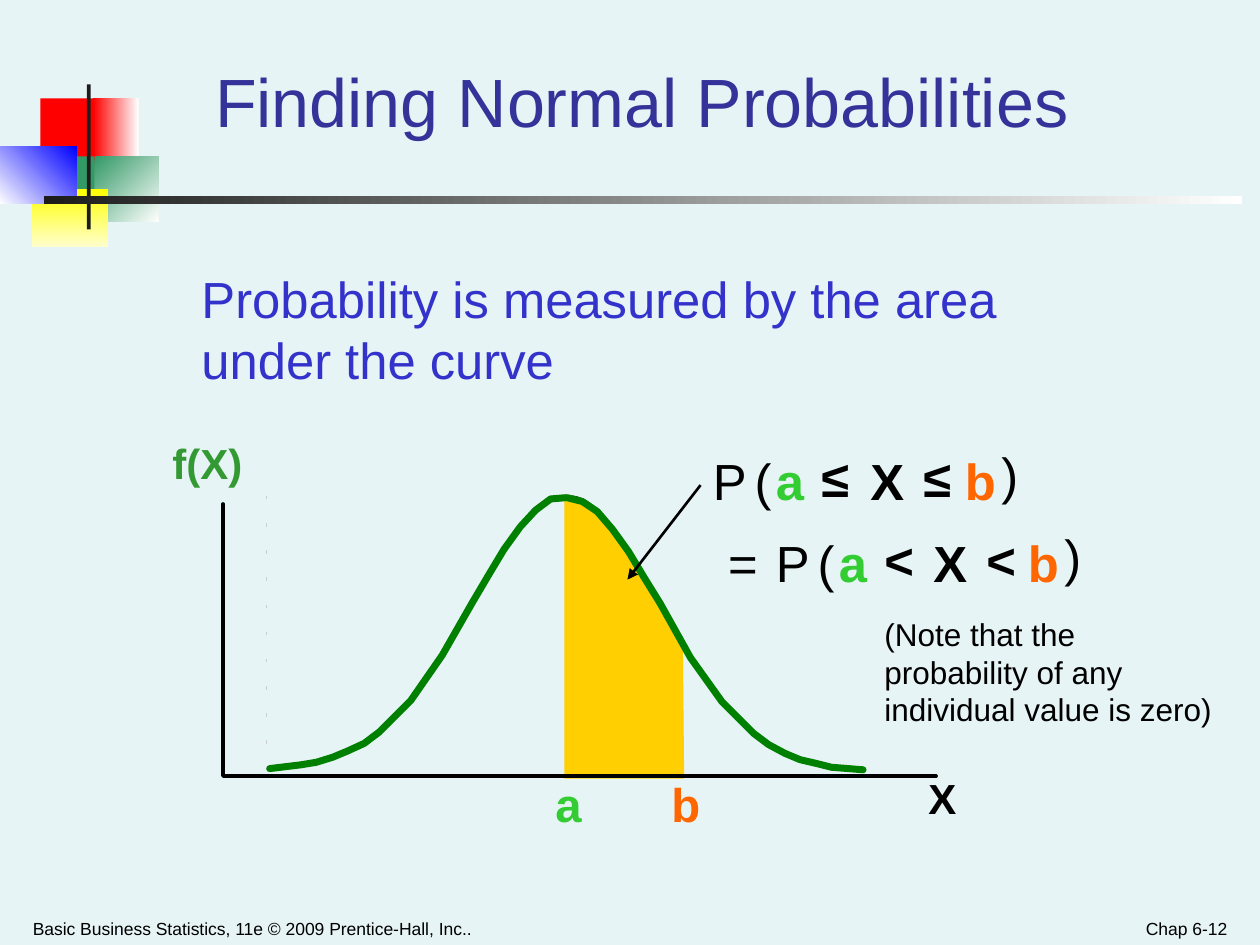
from lxml import etree
from pptx import Presentation
from pptx import util as u
from pptx.dml.color import RGBColor
from pptx.enum import shapes, text
from pptx.oxml.ns import qn

INK = "000000"
GREEN_A = "33CC33"
ORANGE_B = "FF6600"
CURVE_GREEN = "008000"


def color(hex_code):
    return RGBColor.from_string(hex_code)


def add_text(slide, box, wording, size, hex_code, bold=False, wrap=False,
             align=text.PP_ALIGN.LEFT, anchor=text.MSO_ANCHOR.TOP):
    """Text box; a label that does not wrap grows to fit its wording."""
    label = slide.shapes.add_textbox(*(u.Inches(v) for v in box))
    frame = label.text_frame
    frame.word_wrap = wrap
    if not wrap:
        frame.auto_size = text.MSO_AUTO_SIZE.SHAPE_TO_FIT_TEXT
    frame.vertical_anchor = anchor
    frame.text = wording
    paragraph = frame.paragraphs[0]
    paragraph.alignment = align
    font = paragraph.runs[0].font
    font.name, font.size, font.bold = "Arial", u.Pt(size), bold
    font.color.rgb = color(hex_code)
    return label


def add_block(slide, box, start, end=None, angle=0):
    """Borderless rectangle, plain or with a gradient turned clockwise by angle."""
    block = slide.shapes.add_shape(shapes.MSO_SHAPE.RECTANGLE,
                                   *(u.Inches(v) for v in box))
    block.shadow.inherit = False
    block.line.fill.background()
    if end is None:
        block.fill.solid()
        block.fill.fore_color.rgb = color(start)
        return
    block.fill.gradient()
    block.fill.gradient_angle = (360 - angle) % 360
    for stop, hex_code in zip(block.fill.gradient_stops, (start, end)):
        stop.color.rgb = color(hex_code)


def add_outline(slide, origin, points, fill=None, line=None, width=1):
    """Freeform through points measured from origin; closed when filled."""
    left, top = origin
    spots = [(u.Inches(left + x), u.Inches(top + y)) for x, y in points]
    builder = slide.shapes.build_freeform(*spots[0])
    builder.add_line_segments(spots[1:], close=fill is not None)
    outline = builder.convert_to_shape()
    outline.shadow.inherit = False
    if fill:
        outline.fill.solid()
        outline.fill.fore_color.rgb = color(fill)
        outline.line.fill.background()
    else:
        outline.fill.background()
        outline.line.color.rgb = color(line)
        outline.line.width = u.Pt(width)
        outline._element.spPr.find(qn("a:ln")).set("cap", "rnd")


def add_line(slide, start, end, hex_code, width, arrow=False):
    line = slide.shapes.add_connector(shapes.MSO_CONNECTOR.STRAIGHT,
                                      *(u.Inches(v) for v in (*start, *end)))
    line.line.color.rgb = color(hex_code)
    line.line.width = u.Pt(width)
    properties = line._element.spPr
    if arrow:
        etree.SubElement(properties.find(qn("a:ln")), qn("a:tailEnd"), type="triangle")
    etree.SubElement(properties, qn("a:effectLst"))


def add_ornament(slide, left, top):
    blocks = [
        ((0.32, 0.11, 0.48, 0.52), "FF0000"),
        ((0.74, 0.11, 0.36, 0.52), "FF0000", "FFFFFF"),
        ((0.75, 0.57, 0.51, 0.52), "339966", "FFFFFF", 45),
        ((0.43, 0.57, 0.32, 0.52), "339966"),
        ((0.25, 0.83, 0.61, 0.46), "FFFF00", "FFFFCC", 90),
        ((0, 0.49, 0.61, 0.46), "FFFFFF", "0000FF", 315),
        ((0.69, 0, 0.03, 1.15), "1C1C1C"),
        ((0.35, 0.89, 9.51, 0.06), "1C1C1C", "FFFFFF"),
    ]
    for (x, y, width, height), *paint in blocks:
        add_block(slide, (left + x, top + y, width, height), *paint)


def add_footer(slide, left, top, width, height):
    parts = [
        (left, 5.08, "Basic Business Statistics, 11e © 2009 Prentice-Hall, Inc..",
         text.PP_ALIGN.LEFT),
        (left + width - 2.33, 2.33, "Chap 6-12", text.PP_ALIGN.RIGHT),
    ]
    for x, part_width, wording, align in parts:
        note = add_text(slide, (x, top, part_width, height), wording, 10, INK,
                        wrap=True, align=align, anchor=text.MSO_ANCHOR.BOTTOM)
        note.text_frame.margin_left = note.text_frame.margin_right = u.Inches(0.09)


def add_title(slide, box):
    title = add_text(slide, box, "Finding Normal Probabilities", 39, "333399", wrap=True,
                     align=text.PP_ALIGN.CENTER, anchor=text.MSO_ANCHOR.MIDDLE)
    title.text_frame.margin_right = u.Inches(0.41)
    title.text_frame.paragraphs[0].line_spacing = 0.95


def add_normal_curve(slide, left, top):
    """Bell curve with the area from a to b; left, top is the top of the f(X) axis."""
    origin = (left, top)
    area = [(2.86, -0.01), (2.97, 0.05), (3.13, 0.25), (3.26, 0.45), (3.42, 0.72),
            (3.55, 0.96), (3.65, 1.13), (3.66, 2.18), (2.71, 2.18), (2.71, -0.05)]
    add_outline(slide, origin, area, fill="FFCF01")

    for x, y, width, height, wording, size, hex_code in [
        (2.54, 2.1, 0.41, 0.55, "a", 27, GREEN_A),
        (3.46, 2.1, 0.43, 0.55, "b", 27, ORANGE_B),
        (5.5, 2.08, 0.42, 0.5, "X", 24, INK),
        (-0.5, -0.58, 0.77, 0.5, "f(X)", 24, "339933"),
    ]:
        add_text(slide, (left + x, top + y, width, height), wording, size, hex_code, bold=True)

    crest = [(2.73, -0.05), (2.78, -0.06), (2.82, -0.05), (2.87, -0.03),
             (2.9, -0.01), (2.94, 0.02), (2.96, 0.06), (3.08, 0.17)]
    add_outline(slide, origin, crest, line=INK)

    # Distances from the peak, shared by both halves, and the drop on each side
    reach = [0, 0.12, 0.24, 0.36, 0.49, 0.61, 0.74, 0.98,
             1.23, 1.48, 1.6, 1.73, 1.85, 1.98, 2.1, 2.35]
    right_drop = [0, 0.03, 0.11, 0.25, 0.43, 0.63, 0.84, 1.27,
                  1.62, 1.87, 1.96, 2.03, 2.08, 2.11, 2.14, 2.16]
    left_drop = [0, 0.01, 0.1, 0.23, 0.41, 0.61, 0.83, 1.25,
                 1.61, 1.86, 1.95, 2.01, 2.06, 2.1, 2.12, 2.15]
    for peak, side, drops in [(2.73, 1, right_drop), (2.72, -1, left_drop)]:
        half = [(peak + side * x, y - 0.05) for x, y in zip(reach, drops)]
        add_outline(slide, origin, half, line=CURVE_GREEN, width=4)

    add_outline(slide, origin, [(0, 0), (0, 2.16), (5.66, 2.16)], line=INK, width=2)
    tick_gap = 1.94 / 9
    for i in range(10):
        y = top - 0.05 + i * tick_gap
        add_line(slide, (left + 0.34, y), (left + 0.35, y), "CDCDCD", 2)


def add_probability(slide, left, top, sign):
    """One line P(a sign X sign b), set symbol by symbol."""
    for x, rise, width, symbol, hex_code, bold in [
        (0, 0, 0.47, "P", INK, False),
        (0.5, 0, 0.42, "a", GREEN_A, True),
        (1.25, 0, 0.47, "X", INK, True),
        (2, 0, 0.44, "b", ORANGE_B, True),
        (0.33, 0, 0.33, "(", INK, False),
        (2.29, 0.05, 0.33, ")", INK, False),
        (1.67, 0.02, 0.42, sign, INK, True),
        (0.86, 0.02, 0.42, sign, INK, True),
    ]:
        add_text(slide, (left + x, top - rise, width, 0.58), symbol, 29, hex_code, bold)


def build_slide(slide):
    slide.background.fill.solid()
    slide.background.fill.fore_color.rgb = color("E7F4F5")
    add_ornament(slide, 0, 0.67)
    add_footer(slide, 0.17, 7.15, 9.66, 0.35)
    add_title(slide, (1, 0.33, 8.5, 0.99))
    add_normal_curve(slide, 1.77, 4)
    add_text(slide, (1.5, 2.08, 7.42, 1.06),
             "Probability is measured by the area under the curve", 29, "3333CC", wrap=True)
    add_probability(slide, 5.56, 3.52, "≤")
    add_line(slide, (5.56, 3.85), (4.98, 4.6), INK, 1.5, arrow=True)
    add_text(slide, (5.68, 4.17, 0.43, 0.58), "=", 29, INK)
    add_probability(slide, 6.06, 4.17, "<")
    add_text(slide, (6.92, 4.83, 2.92, 1),
             "(Note that the probability of any individual value is zero)", 18, INK, wrap=True)


def main():
    deck = Presentation()
    deck.slide_width, deck.slide_height = u.Inches(10), u.Inches(7.5)
    build_slide(deck.slides.add_slide(deck.slide_layouts[6]))
    deck.save("out.pptx")


if __name__ == "__main__":
    main()
